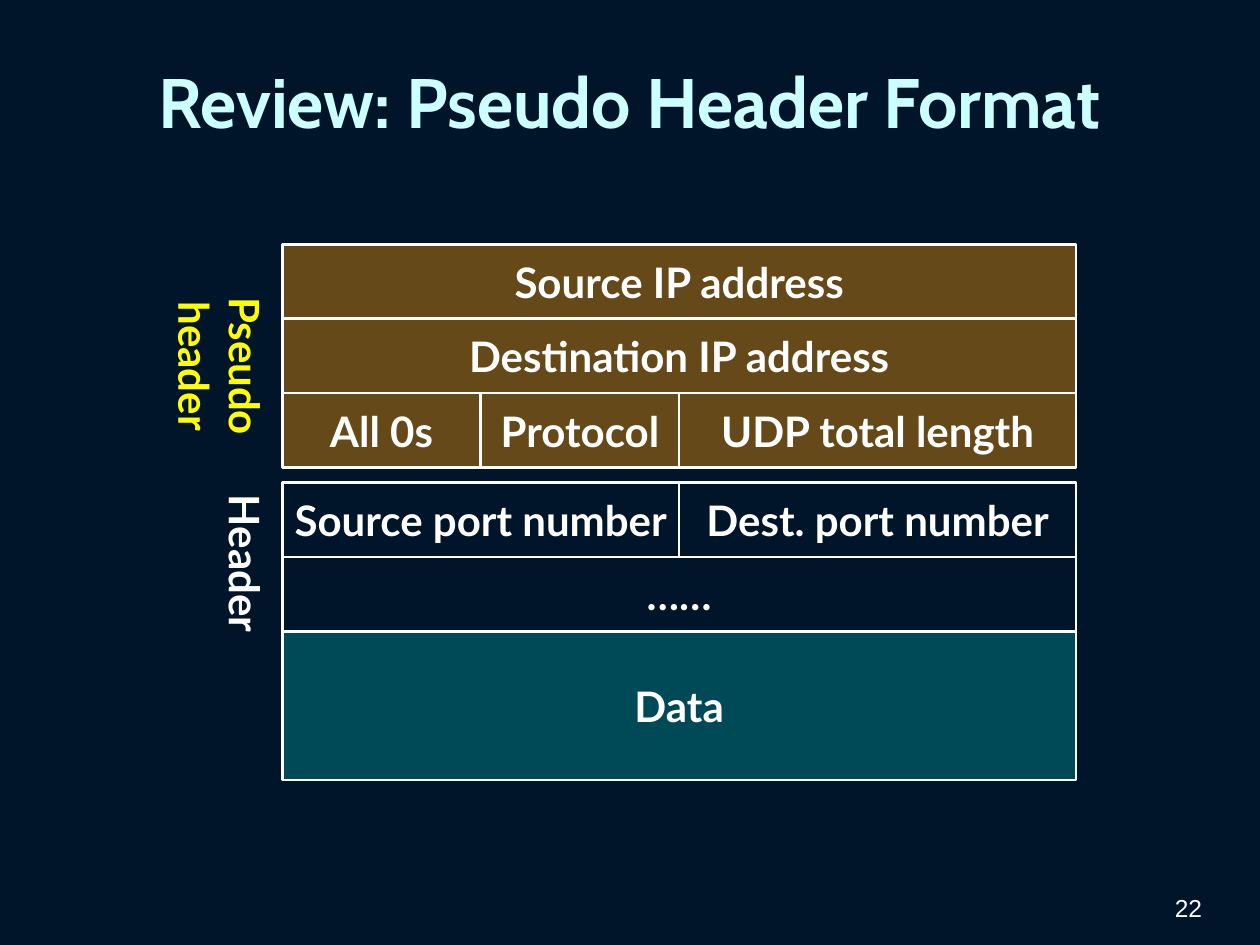
from dataclasses import dataclass
from typing import Any

from lxml import etree
from pptx import Presentation
from pptx.dml.color import RGBColor
from pptx.enum import shapes, text
from pptx.oxml import ns
from pptx.util import Inches, Pt

COLORS = {
    "background": "00152A",
    "title": "CCFFFF",
    "white": "FFFFFF",
    "yellow": "FFFF00",
    "pseudo": "FF9900",
    "data": "009999",
}


def rgb(name):
    return RGBColor.from_string(COLORS[name])


@dataclass
class Painter:
    page: Any
    font: str = "Lato"
    size: int = 24
    border: float = 1.5
    opacity: int = 40

    def add_lines(self, box, lines, color="white", font=None, size=None, bold=True,
                  align=text.PP_ALIGN.CENTER, anchor=text.MSO_ANCHOR.MIDDLE, wrap=False):
        frame = box.text_frame
        frame.word_wrap = wrap
        frame.vertical_anchor = anchor
        for index, line in enumerate(lines):
            para = frame.add_paragraph() if index else frame.paragraphs[0]
            para.alignment = align
            span = para.add_run()
            span.text = line
            span.font.name = font or self.font
            span.font.size = Pt(size or self.size)
            span.font.bold = bold
            span.font.color.rgb = rgb(color)

    def label(self, left, top, width, height, lines, vertical=False, **style):
        box = self.page.shapes.add_textbox(
            Inches(left), Inches(top), Inches(width), Inches(height))
        self.add_lines(box, lines, **style)
        if vertical:
            box.text_frame.auto_size = text.MSO_AUTO_SIZE.SHAPE_TO_FIT_TEXT
            box.text_frame._txBody.bodyPr.set("vert", "eaVert")

    def field(self, left, top, width, height, caption, fill=None):
        box = self.page.shapes.add_shape(
            shapes.MSO_SHAPE.RECTANGLE,
            Inches(left), Inches(top), Inches(width), Inches(height))
        box.shadow.inherit = False
        box.line.color.rgb = rgb("white")
        box.line.width = Pt(self.border)
        if fill:
            box.fill.solid()
            box.fill.fore_color.rgb = rgb(fill)
            tint = box.fill._xPr.find(".//" + ns.qn("a:srgbClr"))
            etree.SubElement(tint, ns.qn("a:alpha"), val=str(self.opacity * 1000))
        else:
            box.fill.background()
        self.add_lines(box, [caption])

    def stack(self, left, top, width, unit, rows):
        for units, fill, fields in rows:
            x = left
            for share, caption in fields:
                self.field(x, top, width * share, unit * units, caption, fill)
                x += width * share
            top += unit * units


def main():
    deck = Presentation()
    deck.slide_width, deck.slide_height = Inches(10), Inches(7.5)
    page = deck.slides.add_slide(deck.slide_layouts[6])
    page.background.fill.solid()
    page.background.fill.fore_color.rgb = rgb("background")
    painter = Painter(page)

    painter.label(7.31, 6.9, 2.33, 0.47, ["22"], font="Arial", size=14, bold=False,
                  align=text.PP_ALIGN.RIGHT, anchor=text.MSO_ANCHOR.BOTTOM, wrap=True)
    painter.label(0.35, 0.13, 9.29, 1.34, ["Review: Pseudo Header Format"],
                  color="title", font="Cabin", size=40, wrap=True)

    left, width, unit = 2.24, 6.3, 0.59
    painter.stack(left, 1.94, width, unit, [
        (1, "pseudo", [(1, "Source IP address")]),
        (1, "pseudo", [(1, "Destination IP address")]),
        (1, "pseudo", [(1 / 4, "All 0s"), (1 / 4, "Protocol"), (1 / 2, "UDP total length")]),
    ])
    painter.stack(left, 3.83, width, unit, [
        (1, None, [(1 / 2, "Source port number"), (1 / 2, "Dest. port number")]),
        (1, None, [(1, "……")]),
        (2, "data", [(1, "Data")]),
    ])

    painter.label(1.25, 2.26, 1, 1.16, ["Pseudo", "header"], vertical=True, color="yellow")
    painter.label(1.65, 3.83, 0.6, 1.22, ["Header "], vertical=True)
    deck.save("out.pptx")


if __name__ == "__main__":
    main()
